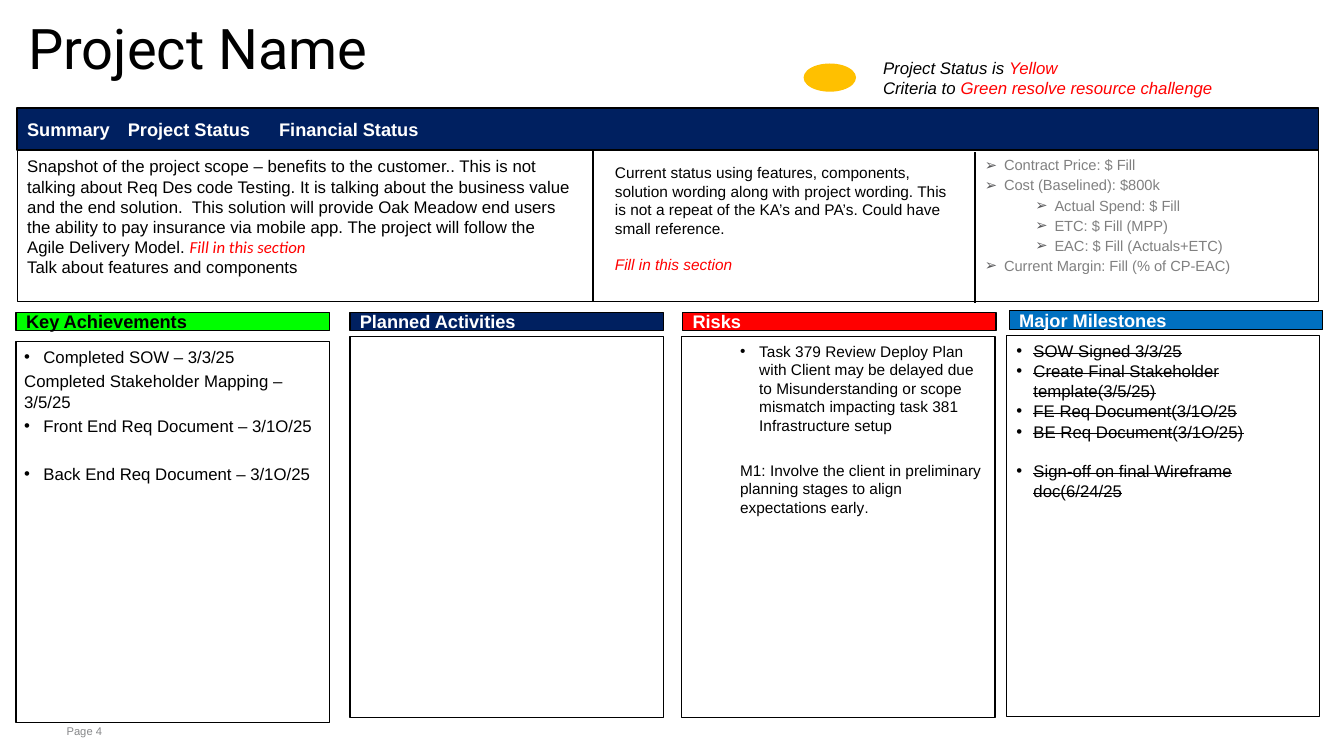
from dataclasses import dataclass

from lxml import etree
from pptx import Presentation
from pptx.dml.color import RGBColor
from pptx.enum.shapes import MSO_CONNECTOR, MSO_SHAPE
from pptx.enum.text import MSO_ANCHOR, MSO_AUTO_SIZE, PP_ALIGN
from pptx.oxml.ns import qn
from pptx.util import Inches, Pt

BLACK = RGBColor(0x00, 0x00, 0x00)
WHITE = RGBColor(0xFF, 0xFF, 0xFF)
NAVY = RGBColor(0x00, 0x20, 0x60)
BLUE = RGBColor(0x00, 0x70, 0xC0)
GREEN = RGBColor(0x00, 0xFF, 0x00)
RED = RGBColor(0xFF, 0x00, 0x00)
AMBER = RGBColor(0xFF, 0xC0, 0x00)
GREY = RGBColor(0x80, 0x80, 0x80)
DARK_GREY = RGBColor(0x58, 0x58, 0x5A)
FOOTER_GREY = RGBColor(0x87, 0x88, 0x8A)
RECT, OVAL = MSO_SHAPE.RECTANGLE, MSO_SHAPE.OVAL
TOP, MIDDLE = MSO_ANCHOR.TOP, MSO_ANCHOR.MIDDLE
LEFT, NO_FIT = PP_ALIGN.LEFT, MSO_AUTO_SIZE.NONE
STRAIGHT = MSO_CONNECTOR.STRAIGHT
TITLE_ONLY = 5


@dataclass
class Run:
    """A stretch of text and its format."""
    text: str
    size: float = 12
    color: RGBColor = BLACK
    font: str = "Arial"
    bold: bool = False
    italic: bool = False
    strike: bool = False


@dataclass
class Para:
    """A paragraph: its runs, indents in inches and spacing in points."""
    runs: list
    bullet: str = ""
    margin: float = 0
    hang: float = 0
    before: float = 0
    after: float = 0
    lines: float = 1
    bullet_color: RGBColor = BLACK
    tabs: tuple = ()


def write(tf, paras, inset=(0.08, 0.05), anchor=TOP):
    """Fill a text frame with paragraphs."""
    tf.word_wrap = True
    tf.auto_size = NO_FIT
    tf.vertical_anchor = anchor
    tf.margin_left = tf.margin_right = Inches(inset[0])
    tf.margin_top = tf.margin_bottom = Inches(inset[1])
    for i, para in enumerate(paras):
        p = tf.add_paragraph() if i else tf.paragraphs[0]
        p.alignment = LEFT
        p.line_spacing = para.lines
        p.space_before, p.space_after = Pt(para.before), Pt(para.after)
        pPr = p._p.get_or_add_pPr()
        pPr.set("marL", str(Inches(para.margin)))
        pPr.set("indent", str(-Inches(para.hang)))
        if para.bullet:
            color = etree.SubElement(pPr, qn("a:buClr"))
            etree.SubElement(color, qn("a:srgbClr"), val=str(para.bullet_color))
            etree.SubElement(pPr, qn("a:buFont"), typeface="Arial")
            etree.SubElement(pPr, qn("a:buChar"), char=para.bullet)
        if para.tabs:
            stops = etree.SubElement(pPr, qn("a:tabLst"))
            for stop in para.tabs:
                etree.SubElement(stops, qn("a:tab"), pos=str(Inches(stop)), algn="l")
        for run in para.runs:
            r = p.add_run()
            r.text = run.text
            r.font.name, r.font.size = run.font, Pt(run.size)
            r.font.bold, r.font.italic = run.bold, run.italic
            r.font.color.rgb = run.color
            if run.strike:
                r._r.get_or_add_rPr().set("strike", "sngStrike")


def add_box(slide, box, fill=WHITE, line=1, kind=RECT):
    """Add a filled shape, outlined in black if line is not zero."""
    sp = slide.shapes.add_shape(kind, *map(Inches, box))
    sp.shadow.inherit = False
    sp.fill.solid()
    sp.fill.fore_color.rgb = fill
    if line:
        sp.line.color.rgb = BLACK
        sp.line.width = Pt(line)
    else:
        sp.line.fill.background()
    return sp


def add_text(slide, box, paras, inset=(0.1, 0.05)):
    """Add a text box."""
    write(slide.shapes.add_textbox(*map(Inches, box)).text_frame, paras, inset)


def add_bar(slide, box, text, fill, color=WHITE, tabs=()):
    """Add a coloured heading bar."""
    heading = Para([Run(text, 13, color, bold=True)], tabs=tabs)
    write(add_box(slide, box, fill).text_frame, [heading], (0.1, 0.09), MIDDLE)


def add_divider(slide, x, top, height):
    """Add a vertical black line."""
    line = slide.shapes.add_connector(
        STRAIGHT, Inches(x), Inches(top), Inches(x), Inches(top + height))
    line.line.color.rgb = BLACK
    line.line.width = Pt(1)
    etree.SubElement(line._element.spPr, qn("a:effectLst"))


def add_header(slide, x, y, w, h):
    """Place the title and the status light with its legend."""
    title = slide.shapes.title
    title.left, title.top, title.width, title.height = map(Inches, (x, y, w, h))
    name = Para([Run("Project Name", 40, font="Roboto")], lines=0.75)
    write(title.text_frame, [name], (0.08, 0), MIDDLE)
    add_box(slide, (x + 7.77, y + 0.63, 0.52, 0.28), AMBER, 0, OVAL)
    legend = [("Project Status is ", "Yellow"),
              ("Criteria to ", "Green resolve resource challenge")]
    add_text(slide, (x + 8.46, y + 0.52, 3.77, 0.5),
             [Para([Run(label, italic=True), Run(value, color=RED, italic=True)])
              for label, value in legend])


def add_overview(slide, x, y, w, h):
    """Place the summary, project status and financial status band."""
    bar = 0.42
    add_box(slide, (x, y + 0.32, w, h - 0.32), line=0.75)
    add_bar(slide, (x, y, w, bar), "Summary\tProject Status\tFinancial Status",
            NAVY, tabs=(6, 10))
    add_text(slide, (x + 0.02, y + 0.43, 5.57, 1.31), [
        Para([Run("Snapshot of the project scope – benefits to the customer.. This is "
                  "not talking about Req Des code Testing. It is talking about the "
                  "business value and the end solution.  This solution will provide "
                  "Oak Meadow end users the ability to pay insurance via mobile app. "
                  "The project will follow the Agile Delivery Model. "),
              Run("Fill in this section", color=RED, font="Calibri", italic=True)]),
        Para([Run("Talk about features and components")])], (0.08, 0.05))
    add_text(slide, (x + 5.83, y + 0.5, 3.62, 1.21), [
        Para([Run("Current status using features, components, solution wording along "
                  "with project wording. This is not a repeat of the KA’s and PA’s. "
                  "Could have small reference.", 11)]),
        Para([Run("Fill in this section", 11, RED, italic=True)], before=13)])
    finances = [("Contract Price: $ Fill", 0), ("Cost (Baselined): $800k", 0),
                ("Actual Spend: $ Fill", 1), ("ETC: $ Fill (MPP)", 1),
                ("EAC: $ Fill (Actuals+ETC)", 1),
                ("Current Margin: Fill (% of CP-EAC)", 0)]
    add_text(slide, (x + 9.5, y + 0.45, 3.39, 1.28),
             [Para([Run(text, 10.5, GREY)], "➢", 0.19 + level / 2, 0.19,
                   before=3 if i else 0, lines=0.9, bullet_color=DARK_GREY)
              for i, (text, level) in enumerate(finances)])
    add_divider(slide, x + 5.71, y + bar, h - bar)
    add_divider(slide, x + 9.5, y + bar + 0.02, h - bar)


def add_panel(slide, x, y, w, h, head, paras):
    """Place a panel with its heading bar, given as offset, top, height and look."""
    dx, top, height, text, fill, color = head
    write(add_box(slide, (x, y, w, h)).text_frame, paras)
    add_bar(slide, (x + dx, top, w, height), text, fill, color)


def add_panels(slide, w, h):
    """Place the four detail panels."""
    done = [Para([Run(text)], bullet, margin, margin, before)
            for text, bullet, margin, before in [
                ("Completed SOW – 3/3/25", "•", 0.19, 0),
                ("Completed Stakeholder Mapping – 3/5/25", "", 0, 3),
                ("Front End Req Document – 3/1O/25", "•", 0.19, 3),
                ("Back End Req Document – 3/1O/25", "•", 0.19, 20)]]
    risks = [
        Para([Run("Task 379 Review Deploy Plan with Client may be delayed due to "
                  "Misunderstanding or scope mismatch impacting task 381 "
                  "Infrastructure setup", 11)], "•", 0.69, 0.19, after=3),
        Para([Run("M1: Involve the client in preliminary planning stages to align "
                  "expectations early", 11), Run(".", 10.5)],
             margin=0.5, before=16, after=3)]
    milestones = [Para([Run(text, strike=True)], "•", 0.19, 0.17, before)
                  for text, before in [
                      ("SOW Signed 3/3/25", 0),
                      ("Create Final Stakeholder template(3/5/25)", 0),
                      ("FE Req Document(3/1O/25", 0),
                      ("BE Req Document(3/1O/25)", 0),
                      ("Sign-off on final Wireframe doc(6/24/25", 14)]]
    for x, y, head, paras in [
            (0.16, 3.39, (0, 3.1, 0.18, "Key Achievements", GREEN, BLACK), done),
            (3.47, 3.34, (0, 3.1, 0.18, "Planned Activities", NAVY, WHITE), []),
            (6.76, 3.34, (0.01, 3.1, 0.18, "Risks", RED, WHITE), risks),
            (9.98, 3.33, (0.03, 3.08, 0.19, "Major Milestones", BLUE, WHITE), milestones)]:
        add_panel(slide, x, y, w, h, head, paras)


def main():
    """Build and save the slide."""
    prs = Presentation()
    prs.slide_width, prs.slide_height = Inches(13.33), Inches(7.5)
    slide = prs.slides.add_slide(prs.slide_layouts[TITLE_ONLY])
    add_header(slide, 0.2, 0, 12.86, 1.07)
    add_overview(slide, 0.17, 1.07, 12.91, 1.92)
    add_panels(slide, 3.11, 3.78)
    add_text(slide, (0.58, 7.14, 10.79, 0.24),
             [Para([Run("Page 4", 8, FOOTER_GREY)])], (0.08, 0.05))
    prs.save("out.pptx")


if __name__ == "__main__":
    main()
